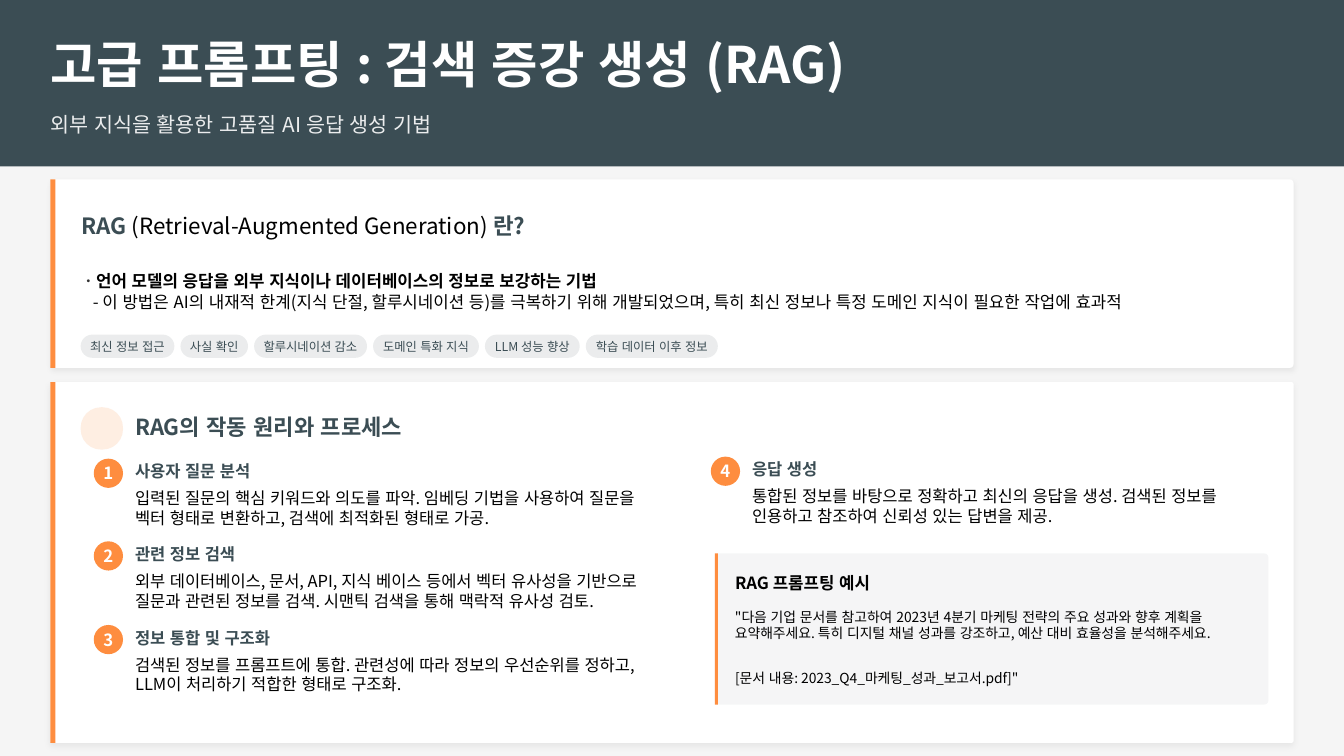
from lxml import etree
from pptx import Presentation
from pptx.dml.color import RGBColor
from pptx.enum import lang, shapes, text
from pptx.oxml import ns
from pptx.util import Inches, Pt

FONT = "Noto Sans CJK KR"
SLATE, ORANGE, WHITE, BLACK, PALE = "3B4D54", "FE8D3F", "FFFFFF", "000000", "F5F5F5"
RECT, ROUND, OVAL = (shapes.MSO_SHAPE.RECTANGLE, shapes.MSO_SHAPE.ROUNDED_RECTANGLE,
                     shapes.MSO_SHAPE.OVAL)

TITLE = "고급 프롬프팅 : 검색 증강 생성 (RAG)"
SUBTITLE = "외부 지식을 활용한 고품질 AI 응답 생성 기법"
QUESTION = [("RAG", SLATE, True), (" (Retrieval-Augmented Generation) ", BLACK, False),
            ("란?", SLATE, True)]
DEFINITION = [("ㆍ", "333333", True),
              ("언어 모델의 응답을 외부 지식이나 데이터베이스의 정보로 보강하는 기법", BLACK, True)]
DETAIL = ("- 이 방법은 AI의 내재적 한계(지식 단절, 할루시네이션 등)를 극복하기 위해 개발되었으며, "
          "특히 최신 정보나 특정 도메인 지식이 필요한 작업에 효과적")
TAGS = [("최신 정보 접근", 0.93), ("사실 확인", 0.67), ("할루시네이션 감소", 1.12),
        ("도메인 특화 지식", 1.05), ("LLM 성능 향상", 0.94), ("학습 데이터 이후 정보", 1.31)]
PROCESS = "RAG의 작동 원리와 프로세스"
# left, top, heading, description
STEPS = [
    (0.93, 4.55, "사용자 질문 분석",
     "입력된 질문의 핵심 키워드와 의도를 파악. 임베딩 기법을 사용하여 질문을 "
     "벡터 형태로 변환하고, 검색에 최적화된 형태로 가공."),
    (0.93, 5.37, "관련 정보 검색",
     "외부 데이터베이스, 문서, API, 지식 베이스 등에서 벡터 유사성을 기반으로 "
     "질문과 관련된 정보를 검색. 시맨틱 검색을 통해 맥락적 유사성 검토."),
    (0.93, 6.2, "정보 통합 및 구조화",
     "검색된 정보를 프롬프트에 통합. 관련성에 따라 정보의 우선순위를 정하고, "
     "LLM이 처리하기 적합한 형태로 구조화."),
    (7.05, 4.53, "응답 생성",
     "통합된 정보를 바탕으로 정확하고 최신의 응답을 생성. 검색된 정보를 "
     "인용하고 참조하여 신뢰성 있는 답변을 제공."),
]
EXAMPLE_HEAD = "RAG 프롬프팅 예시"
EXAMPLE = ("\"다음 기업 문서를 참고하여 2023년 4분기 마케팅 전략의 주요 성과와 향후 계획을 "
           "요약해주세요. 특히 디지털 채널 성과를 강조하고, 예산 대비 효율성을 분석해주세요.")
EXAMPLE_FILE = "[문서 내용: 2023_Q4_마케팅_성과_보고서.pdf]\""


def paint(fill, color, alpha=100):
    """Give a fill one solid colour; alpha is opacity in percent."""
    fill.solid()
    fill.fore_color.rgb = RGBColor.from_string(color)
    if alpha < 100:
        color_node = fill._xPr.find(".//" + ns.qn("a:srgbClr"))
        etree.SubElement(color_node, ns.qn("a:alpha"), val=str(alpha * 1000))


def write(box, content, size=12, color=BLACK, bold=False, alpha=100, wrap=True,
          align=text.PP_ALIGN.LEFT, new_paragraph=False, indent=0):
    """Write a string, or a list of (text, colour, bold) spans, as one paragraph."""
    frame = box.text_frame
    frame.word_wrap = wrap
    frame.auto_size = text.MSO_AUTO_SIZE.NONE
    frame.vertical_anchor = text.MSO_ANCHOR.MIDDLE
    frame.margin_left = frame.margin_top = frame.margin_right = frame.margin_bottom = 0
    para = frame.add_paragraph() if new_paragraph else frame.paragraphs[0]
    para.alignment = align
    para.space_before = Pt(0)
    if indent:
        para._p.get_or_add_pPr().set("marL", str(Inches(indent)))
    spans = [(content, color, bold)] if isinstance(content, str) else content
    for words, span_color, span_bold in spans:
        span = para.add_run()
        span.text = words
        font = span.font
        font.size, font.bold, font.name = Pt(size), span_bold, FONT
        font.language_id = lang.MSO_LANGUAGE_ID.KOREAN
        paint(font.fill, span_color, alpha)
        etree.SubElement(font._element, ns.qn("a:ea"), typeface=FONT)


def place(box, left, top, width, height):
    box.left, box.top, box.width, box.height = map(Inches, (left, top, width, height))


def add_shape(kind, left, top, width, height, color, alpha=100, radius=None):
    shape = slide.shapes.add_shape(kind, *map(Inches, (left, top, width, height)))
    shape.shadow.inherit = False
    shape.line.fill.background()
    paint(shape.fill, color, alpha)
    if radius is not None:
        shape.adjustments[0] = radius
    return shape


def add_text(left, top, width, height, content, **style):
    box = slide.shapes.add_textbox(*map(Inches, (left, top, width, height)))
    write(box, content, **style)
    return box


def add_card(top, height, radius):
    """Draw a white card with a soft shadow and an orange left edge."""
    card = add_shape(ROUND, 0.5, top, 12.33, height, WHITE, radius=radius)
    effects = card._element.spPr.find(ns.qn("a:effectLst"))
    shadow = etree.SubElement(effects, ns.qn("a:outerShdw"), blurRad=str(Pt(4)),
                              dist=str(Pt(2)), dir="5400000", rotWithShape="0")
    tone = etree.SubElement(shadow, ns.qn("a:srgbClr"), val=BLACK)
    etree.SubElement(tone, ns.qn("a:alpha"), val="5000")
    add_shape(RECT, 0.5, top, 0.05, height, ORANGE)


deck = Presentation()
deck.slide_width, deck.slide_height = Inches(13.33), Inches(7.5)
slide = deck.slides.add_slide(deck.slide_layouts[0])

# Header
add_shape(RECT, 0, 0, 13.33, 7.5, PALE)
add_shape(RECT, 0, 0, 13.33, 1.65, SLATE)
title, subtitle = slide.placeholders
place(title, 0.5, 0.26, 8.64, 0.73)
write(title, TITLE, size=36, color=WHITE, bold=True)
place(subtitle, 0.5, 1.08, 4.02, 0.3)
write(subtitle, SUBTITLE, size=14.8, color=WHITE, alpha=90)
for holder in (title, subtitle):  # bring in front of the header band
    slide.shapes._spTree.append(holder._element)

# Definition card
add_card(1.78, 1.87, 0.019)
add_text(0.81, 2.07, 6.12, 0.33, QUESTION, size=16)
definition = add_text(0.8, 2.63, 11.81, 0.52, DEFINITION)
write(definition, DETAIL, new_paragraph=True, indent=0.12)
tag_left = 0.8
for tag, width in TAGS:
    pill = add_shape(ROUND, tag_left, 3.32, width, 0.23, SLATE, alpha=10, radius=0.5)
    write(pill, tag, size=8.8, color=SLATE, wrap=False, align=text.PP_ALIGN.CENTER)
    tag_left += width + 0.06

# Process card
add_card(3.79, 3.58, 0.006)
add_shape(ROUND, 0.8, 4.04, 0.42, 0.42, ORANGE, alpha=15, radius=0.48)
add_text(1.34, 4.07, 2.94, 0.33, PROCESS, size=15.8, color=SLATE, bold=True)
for number, (left, top, heading, description) in enumerate(STEPS, 1):
    badge = add_shape(OVAL, left, top, 0.29, 0.29, ORANGE)
    write(badge, str(number), color=WHITE, bold=True, wrap=False,
          align=text.PP_ALIGN.CENTER)
    add_text(left + 0.41, top, 1.5, 0.25, heading, size=11.8, color=SLATE, bold=True)
    add_text(left + 0.41, top + 0.24, 5.24, 0.5, description, size=11.8)

# Prompt example
add_shape(ROUND, 7.09, 5.49, 5.49, 1.5, SLATE, alpha=5, radius=0.028)
add_shape(RECT, 7.09, 5.49, 0.03, 1.5, ORANGE)
add_text(7.29, 5.66, 1.48, 0.25, EXAMPLE_HEAD, bold=True)
add_text(7.29, 5.99, 5.24, 0.42, EXAMPLE, size=9.9)
add_text(7.29, 6.62, 3.12, 0.21, EXAMPLE_FILE, size=9.9)

deck.save("out.pptx")
